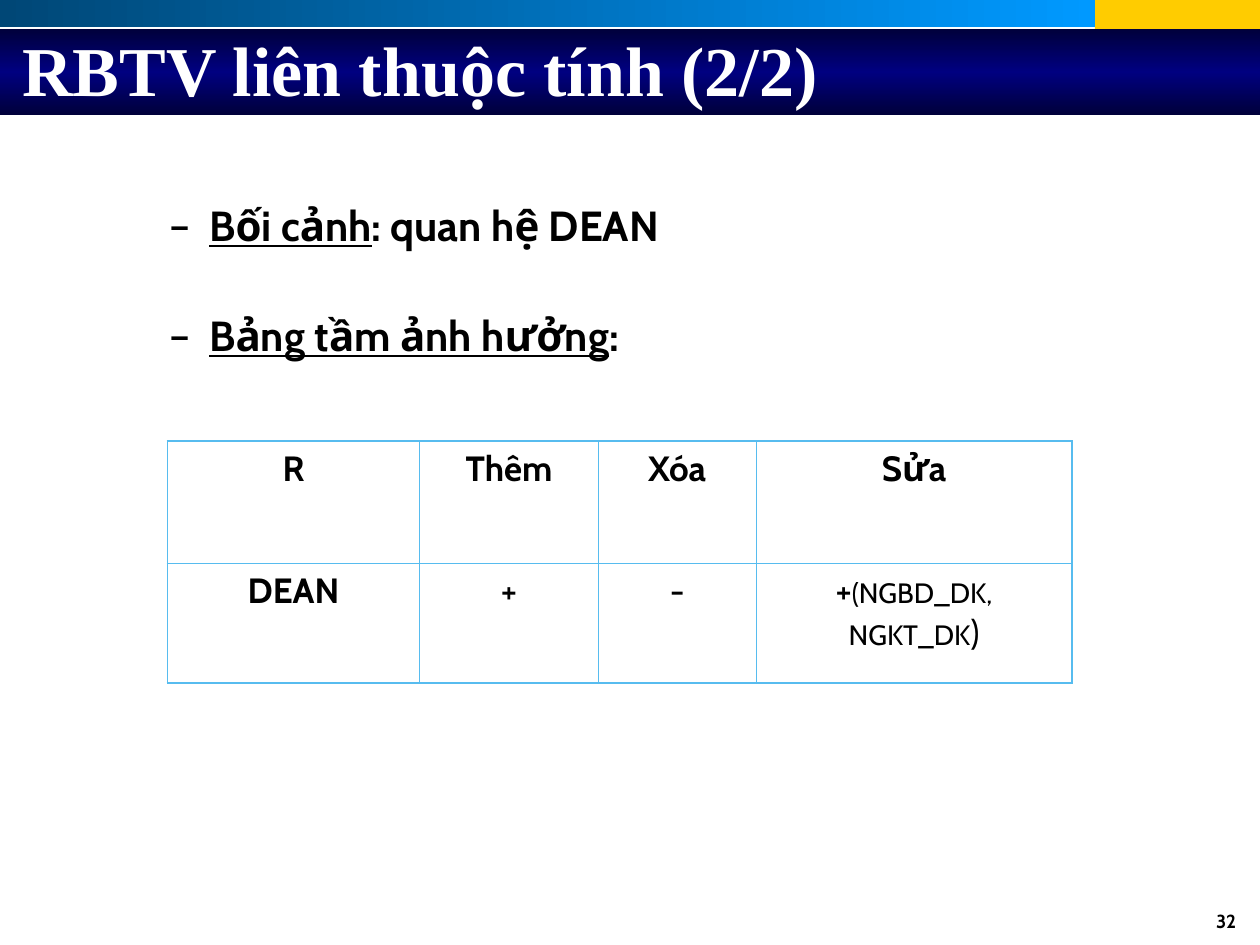
from copy import deepcopy

from lxml import etree
from pptx import Presentation
from pptx.dml.color import RGBColor
from pptx.enum import shapes, text
from pptx.oxml import ns
from pptx.util import Pt

WHITE = RGBColor(0xFF, 0xFF, 0xFF)
BLACK = RGBColor(0, 0, 0)
GOLD = RGBColor(0xFF, 0xCC, 0x00)
DEEP_TEAL = RGBColor(0x00, 0x47, 0x76)
SKY = RGBColor(0x00, 0x99, 0xFF)
MIDNIGHT = RGBColor(0x00, 0x00, 0x3B)
NAVY = RGBColor(0x00, 0x00, 0x80)
BORDER = RGBColor(0x57, 0xBC, 0xEF)

BODY = {"name": "Cabin", "size": Pt(24), "bold": True, "color": BLACK}
UNDERLINED = {**BODY, "underline": True}
TITLE = {"name": "Times New Roman", "size": Pt(40), "bold": True, "color": WHITE}
NUMBER = {**BODY, "size": Pt(10.8)}
HEADING = {**BODY, "size": Pt(20)}
MARK = {**HEADING, "bold": False}
DETAIL = {**MARK, "size": Pt(16)}

ROWS = [
    [[[(label, HEADING)]] for label in ("R", "Thêm", "Xóa", "Sửa")],
    [
        [[("DEAN", HEADING)]],
        [[("+", MARK)]],
        [[("-", MARK)]],
        [[("+", MARK), ("(NGBD_DK,", DETAIL)], [("NGKT_DK", DETAIL), (")", MARK)]],
    ],
]


def add_band(slide, left, top, width, height, colors, angle=0):
    band = slide.shapes.add_shape(
        shapes.MSO_SHAPE.RECTANGLE, Pt(left), Pt(top), Pt(width), Pt(height)
    )
    band.shadow.inherit = False
    band.line.fill.background()
    if len(colors) == 1:
        band.fill.solid()
        band.fill.fore_color.rgb = colors[0]
        return
    band.fill.gradient()
    band.fill.gradient_angle = angle
    stop_list = band.fill._fill._gradFill.gsLst
    while len(stop_list) < len(colors):
        stop_list.append(deepcopy(stop_list[0]))
    for index, (stop, color) in enumerate(zip(band.fill.gradient_stops, colors)):
        stop.position = index / (len(colors) - 1)
        stop.color.rgb = color


def add_runs(paragraph, parts):
    for words, style in parts:
        run = paragraph.add_run()
        run.text = words
        for name, value in style.items():
            if name == "color":
                run.font.color.rgb = value
            else:
                setattr(run.font, name, value)


def fill_text(frame, paragraphs, **layout):
    for index, parts in enumerate(paragraphs):
        paragraph = frame.add_paragraph() if index else frame.paragraphs[0]
        for name, value in layout.items():
            setattr(paragraph, name, value)
        add_runs(paragraph, parts)


def add_text(slide, left, top, width, height, paragraphs, anchor=text.MSO_ANCHOR.TOP, **layout):
    box = slide.shapes.add_textbox(Pt(left), Pt(top), Pt(width), Pt(height))
    frame = box.text_frame
    frame.word_wrap = True
    frame.vertical_anchor = anchor
    fill_text(frame, paragraphs, **layout)
    return frame


def add_dash(paragraph, margin, hanging):
    properties = paragraph._p.get_or_add_pPr()
    properties.set("marL", str(Pt(margin)))
    properties.set("indent", str(-Pt(hanging)))
    color = etree.SubElement(properties, ns.qn("a:buClr"))
    etree.SubElement(color, ns.qn("a:srgbClr"), val=str(BLACK))
    etree.SubElement(properties, ns.qn("a:buFont"), typeface="Cabin")
    etree.SubElement(properties, ns.qn("a:buChar"), char="–")


def set_borders(cell, widths):
    properties = cell._tc.get_or_add_tcPr()
    for index, (side, width) in enumerate(widths.items()):
        line = etree.Element(ns.qn(f"a:ln{side}"), w=str(Pt(width)))
        fill = etree.SubElement(line, ns.qn("a:solidFill"))
        etree.SubElement(fill, ns.qn("a:srgbClr"), val=str(BORDER))
        properties.insert(index, line)


def add_influence_table(slide):
    column_widths = [144, 102.24, 90, 180.72]
    row_heights = [69.84, 68.4]
    table = slide.shapes.add_table(
        len(ROWS), len(column_widths), Pt(95.76), Pt(252),
        Pt(sum(column_widths)), Pt(sum(row_heights)),
    ).table
    for column, width in zip(table.columns, column_widths):
        column.width = Pt(width)
    for row, height in zip(table.rows, row_heights):
        row.height = Pt(height)
    last_row, last_column = len(row_heights) - 1, len(column_widths) - 1
    for r, row in enumerate(ROWS):
        for c, paragraphs in enumerate(row):
            cell = table.cell(r, c)
            cell.fill.background()
            fill_text(cell.text_frame, paragraphs, alignment=text.PP_ALIGN.CENTER)
            outer = {"L": c == 0, "R": c == last_column, "T": r == 0, "B": r == last_row}
            set_borders(cell, {side: 1.08 if edge else 0.45 for side, edge in outer.items()})


def main():
    presentation = Presentation()
    presentation.slide_width, presentation.slide_height = Pt(720), Pt(540)
    slide = presentation.slides.add_slide(presentation.slide_layouts[6])

    add_band(slide, 625.68, 0, 94.32, 20, [GOLD])
    add_band(slide, 0, 0, 625.68, 15.6, [DEEP_TEAL, SKY])
    add_band(slide, 0, 16.56, 720, 49, [MIDNIGHT, NAVY, MIDNIGHT], 90)

    add_text(slide, 545.76, 516.24, 167.76, 23, [[("32", NUMBER)]],
             alignment=text.PP_ALIGN.RIGHT)
    body = add_text(
        slide, 54, 113.76, 612, 282.24,
        [
            [("Bối cảnh", UNDERLINED), (": quan hệ DEAN", BODY)],
            [("Bảng tầm ảnh hưởng", UNDERLINED), (":", BODY)],
        ],
        line_spacing=0.9,
    )
    body.paragraphs[1].space_before = Pt(37)
    for paragraph in body.paragraphs:
        add_dash(paragraph, margin=58.5, hanging=22.5)
    add_text(slide, 5.76, -5.76, 648, 90, [[("RBTV liên thuộc tính (2/2)", TITLE)]],
             anchor=text.MSO_ANCHOR.MIDDLE)
    add_influence_table(slide)
    presentation.save("out.pptx")


if __name__ == "__main__":
    main()
